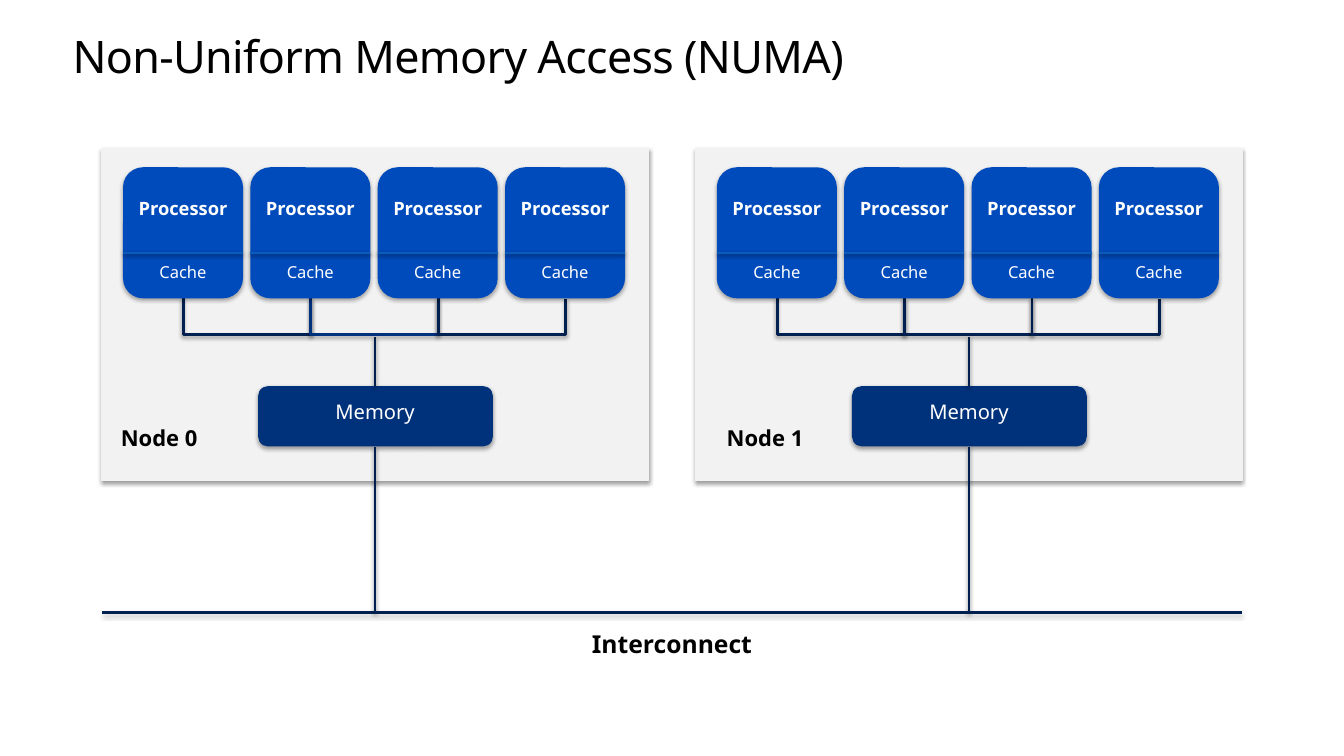
from pptx import Presentation, util as u
from pptx.dml.color import RGBColor
from pptx.enum import shapes, text
from pptx.oxml import parse_xml
from pptx.oxml.ns import nsdecls, qn

FONT = "Noto Sans"
NAVY, DEEP, BLUE, SEAM = "002050", "00317B", "004BBC", "0A5BBA"
GREY, WHITE, BLACK = "F2F2F2", "FFFFFF", "000000"
STEP = 1.263  # from one processor to the next
TOP, BUS = 1.47, 6.08  # top of the nodes, height of the interconnect


def rgb(code):
    return RGBColor.from_string(code)


def shade(shape, alpha=38):
    """Give a shape or connector a soft shadow below it."""
    shape._element.spPr.append(parse_xml(
        f'<a:effectLst {nsdecls("a")}><a:outerShdw blurRad="39370" '
        'dist="20320" dir="5400000" rotWithShape="0"><a:srgbClr val="000000">'
        f'<a:alpha val="{alpha * 1000}"/></a:srgbClr></a:outerShdw></a:effectLst>'))


def box(slide, kind, x, y, w, h, fill, edge=None, alpha=35):
    shape = slide.shapes.add_shape(kind, *map(u.Inches, (x, y, w, h)))
    shape.fill.solid()
    shape.fill.fore_color.rgb = rgb(fill)
    if edge:
        shape.line.color.rgb = rgb(edge)
        shape.line.width = u.Pt(0.75)
    else:
        shape.line.fill.background()
    shade(shape, alpha)


def line(slide, x1, y1, x2, y2, color=NAVY, kind=shapes.MSO_CONNECTOR.STRAIGHT):
    wire = slide.shapes.add_connector(kind, *map(u.Inches, (x1, y1, x2, y2)))
    wire.line.color.rgb = rgb(color)
    wire.line.width = u.Pt(2)
    shade(wire)
    return wire


def bend(slide, x, y, color):
    """Draw a U from one processor to the next: a turned elbow."""
    wide, mid = 0.02, x + STEP / 2
    wire = line(slide, mid + wide / 2, y - STEP / 2, mid - wide / 2,
                y + STEP / 2, color, shapes.MSO_CONNECTOR.ELBOW)
    props = wire._element.spPr
    props.find(qn("a:xfrm")).set("rot", "16200000")
    geom = props.find(qn("a:prstGeom"))
    for old in list(geom):
        geom.remove(old)
    geom.append(parse_xml(
        f'<a:avLst {nsdecls("a")}><a:gd name="adj1" fmla="val 1850000"/></a:avLst>'))


def label(slide, words, x, y, w, h, size, color=WHITE, bold=False,
          align=text.PP_ALIGN.CENTER, pad=(0.1, 0.05)):
    frame = slide.shapes.add_textbox(*map(u.Inches, (x, y, w, h))).text_frame
    frame.word_wrap = True
    frame.auto_size = text.MSO_AUTO_SIZE.SHAPE_TO_FIT_TEXT
    frame.margin_left = frame.margin_right = u.Inches(pad[0])
    frame.margin_top = frame.margin_bottom = u.Inches(pad[1])
    para = frame.paragraphs[0]
    para.alignment = align
    run = para.add_run()
    run.text = words
    run.font.name = FONT
    run.font.size = u.Pt(size)
    run.font.bold = bold
    run.font.color.rgb = rgb(color)
    return para, run


def title(slide, x, y, w, h):
    para, run = label(slide, "Non-Uniform Memory Access (NUMA)", x, y, w, h, 32,
                      BLACK, align=text.PP_ALIGN.LEFT, pad=(0, 0))
    para.line_spacing = u.Pt(36.2)
    run._r.get_or_add_rPr().set("spc", "-50")


def core(slide, x, y, w, h):
    """Processor with its cache below the seam."""
    pad = (0.07, 0.05)
    box(slide, shapes.MSO_SHAPE.ROUNDED_RECTANGLE, x, y, w, h, BLUE)
    line(slide, x, y + 0.85, x + w, y + 0.85, SEAM)
    label(slide, "Processor", x, y + 0.25, w, 0.32, 13.1, bold=True, pad=pad)
    label(slide, "Cache", x + 0.13, y + 0.89, w - 0.26, 0.3, 11.8, pad=pad)


def node(slide, name, x, y, w, h, inset, wires):
    mid = x + w / 2
    box(slide, shapes.MSO_SHAPE.RECTANGLE, x, y, w, h, GREY, GREY, 38)

    # Wires first, so that the processors cover their ends
    for i, color in enumerate(wires):
        bend(slide, x + 0.81 + i * STEP, y + 1.49, color)
    for i in range(len(wires) + 1):
        core(slide, x + 0.21 + i * STEP, y + 0.19, 1.19, 1.3)

    # Memory, joined to the processors and the interconnect
    box(slide, shapes.MSO_SHAPE.ROUNDED_RECTANGLE,
        mid - 1.16, y + 2.36, 2.33, 0.6, DEEP)
    label(slide, "Memory", mid - 1.09, y + 2.44, 2.18, 0.34, 14.4)
    line(slide, mid, y + 2.36, mid, y + 1.87)
    line(slide, mid, y + 2.96, mid, BUS)
    label(slide, name, x + inset, y + 2.69, 1.27, 0.36, 15.7, BLACK, True,
          text.PP_ALIGN.LEFT)


def link(slide, x, y, w):
    line(slide, x, y, x + w, y)
    label(slide, "Interconnect", x + w / 2 - 1.6, y + 0.11, 3.2, 0.4, 17.6,
          BLACK, True)


def main():
    deck = Presentation()
    deck.slide_width, deck.slide_height = u.Inches(13.33), u.Inches(7.5)
    slide = deck.slides.add_slide(deck.slide_layouts[6])
    title(slide, 0.72, 0.32, 12.75, 0.5)
    node(slide, "Node 0", 1.01, TOP, 5.42, 3.3, 0.09, (NAVY, DEEP, NAVY))
    node(slide, "Node 1", 6.9, TOP, 5.42, 3.3, 0.21, (NAVY, NAVY, NAVY))
    link(slide, 1.01, BUS, 11.31)
    deck.save("out.pptx")


if __name__ == "__main__":
    main()
